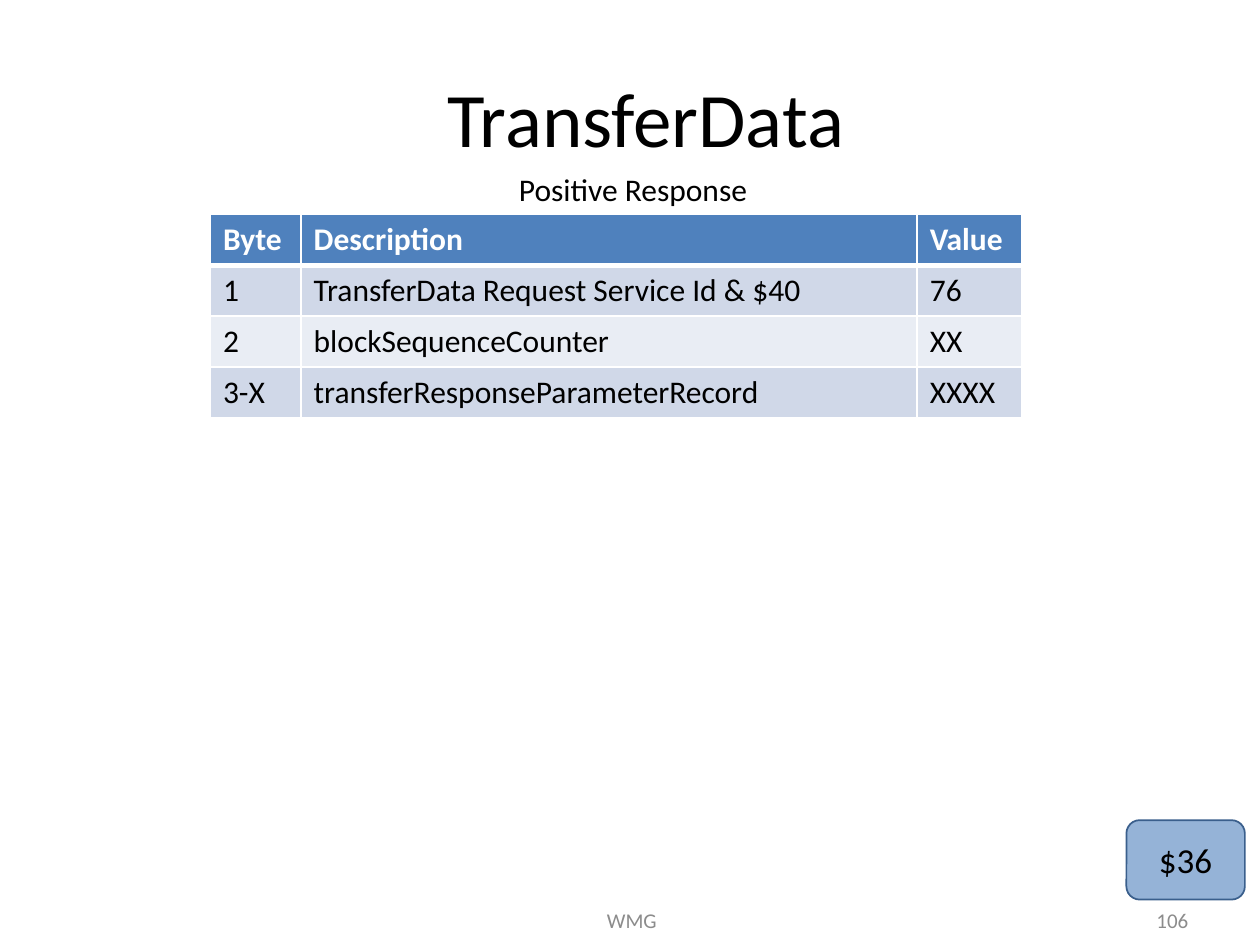
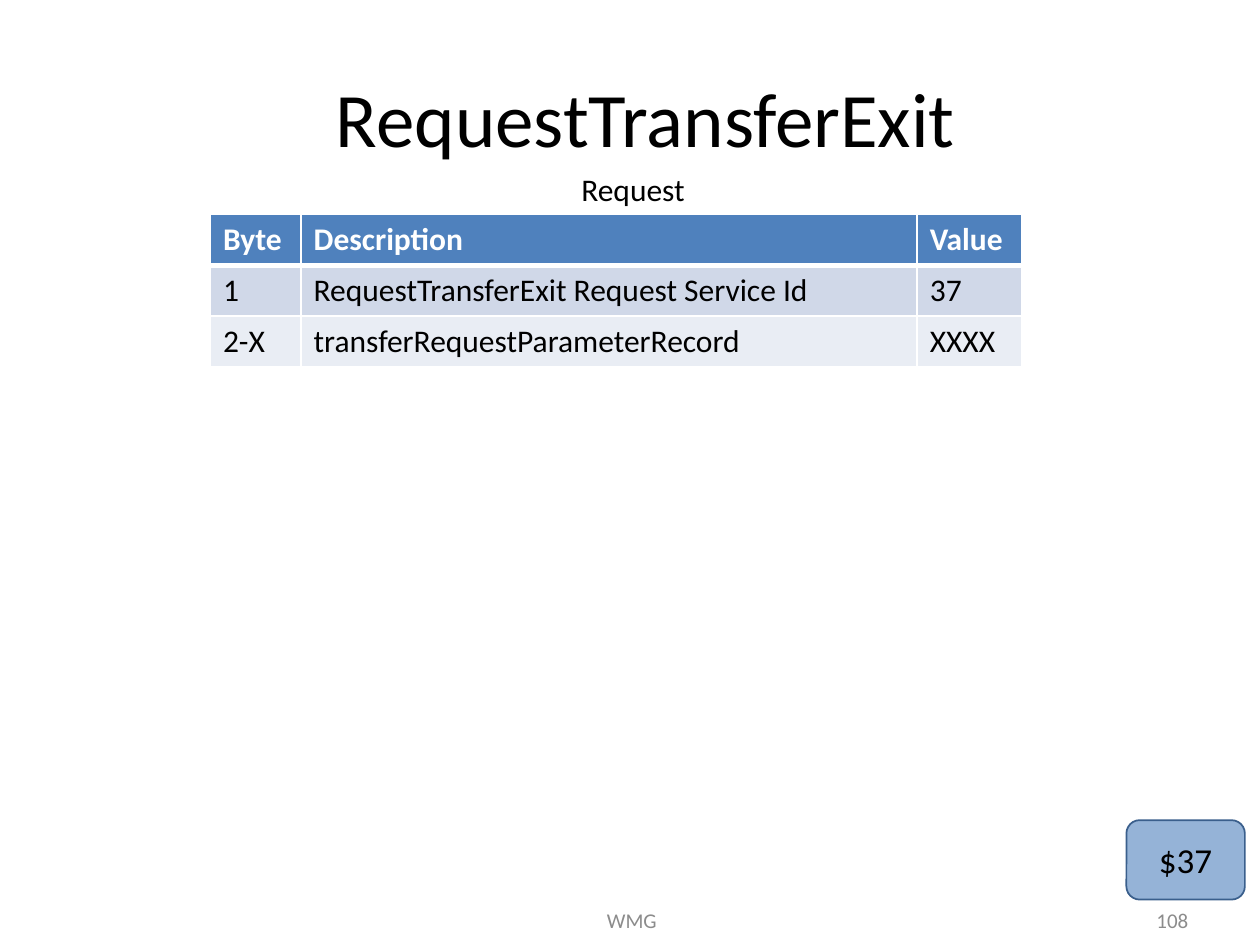
from dataclasses import dataclass

import pptx
import pptx.dml.color
import pptx.enum.shapes
import pptx.enum.text
import pptx.oxml
import pptx.oxml.ns
import pptx.util
from pptx.util import Inches

FONT = "Calibri"
BLACK, WHITE, FOOTER_GRAY = "000000", "FFFFFF", "8C8C8C"
HEADER_BLUE, BADGE_BLUE, BADGE_EDGE = "4F81BD", "95B3D7", "3A5F8C"
BANDS = ("D0D8E8", "E9EDF4")
HEADINGS = ("Byte", "Description", "Value")
COLUMN_WIDTHS = (0.72, 4.89, 0.83)
ROW_HEIGHT = 0.405
CAPTION_CENTER = 5.025
ALIGN = pptx.enum.text.PP_ALIGN
ANCHOR = pptx.enum.text.MSO_ANCHOR


@dataclass(frozen=True)
class Area:
    left: float
    top: float
    width: float
    height: float

    def lengths(self) -> tuple:
        return tuple(Inches(n) for n in (self.left, self.top, self.width, self.height))


@dataclass(frozen=True)
class Message:
    title: str
    caption: str
    caption_width: float
    rows: tuple
    service: str
    number: str


TITLE_AREA = Area(0.75, 0.3, 8.75, 1.25)
FOOTER_AREA = Area(3.43, 7.1, 3.17, 0.4)
NUMBER_AREA = Area(7.2, 7.1, 2.33, 0.4)
BADGE_AREA = Area(8.94, 6.51, 0.94, 0.63)

MESSAGES = (
    Message("TransferData", "Positive Response", 2.03, (
        ("1", "TransferData Request Service Id & $40", "76"),
        ("2", "blockSequenceCounter", "XX"),
        ("3-X", "transferResponseParameterRecord", "XXXX"),
    ), "$36", "106"),
    Message("RequestTransferExit", "Request", 1.03, (
        ("1", "RequestTransferExit Request Service Id", "37"),
        ("2-X", "transferRequestParameterRecord", "XXXX"),
    ), "$37", "108"),
)


def rgb(color: str) -> pptx.dml.color.RGBColor:
    return pptx.dml.color.RGBColor.from_string(color)


def paint(target, color: str) -> None:
    target.fill.solid()
    target.fill.fore_color.rgb = rgb(color)


def write(frame, text: str, size: int, color: str = BLACK,
          align=ALIGN.CENTER, bold: bool = False) -> None:
    frame.text = text
    para = frame.paragraphs[0]
    para.alignment = align
    for span in para.runs:
        span.font.name = FONT
        span.font.size = pptx.util.Pt(size)
        span.font.bold = bold
        span.font.color.rgb = rgb(color)


def add_text(page, area: Area, text: str, size: int, color: str = BLACK,
             align=ALIGN.CENTER, anchor=ANCHOR.MIDDLE, wrap: bool = True) -> None:
    frame = page.shapes.add_textbox(*area.lengths()).text_frame
    frame.word_wrap = wrap
    frame.vertical_anchor = anchor
    write(frame, text, size, color, align)


def add_title(page, text: str) -> None:
    title = page.shapes.title
    title.left, title.top, title.width, title.height = TITLE_AREA.lengths()
    title.text_frame.vertical_anchor = ANCHOR.MIDDLE
    write(title.text_frame, text, 44)


def set_borders(cell, top: int, bottom: int) -> None:
    properties = cell._tc.get_or_add_tcPr()
    for side, points in (("L", 1), ("R", 1), ("T", top), ("B", bottom)):
        properties.append(pptx.oxml.parse_xml(
            f'<a:ln{side} {pptx.oxml.ns.nsdecls("a")} w="{pptx.util.Pt(points)}">'
            f'<a:solidFill><a:srgbClr val="{WHITE}"/></a:solidFill></a:ln{side}>'))


def add_byte_table(page, rows: tuple) -> None:
    lines = (HEADINGS, *rows)
    area = Area(1.67, 1.7, sum(COLUMN_WIDTHS), ROW_HEIGHT * len(lines))
    table = page.shapes.add_table(len(lines), len(HEADINGS), *area.lengths()).table
    for column, width in zip(table.columns, COLUMN_WIDTHS):
        column.width = Inches(width)
    for index, line in enumerate(lines):
        header = index == 0
        table.rows[index].height = Inches(ROW_HEIGHT)
        for cell, text in zip(table.rows[index].cells, line):
            set_borders(cell, top=3 if index == 1 else 1, bottom=3 if header else 1)
            paint(cell, HEADER_BLUE if header else BANDS[(index - 1) % 2])
            write(cell.text_frame, text, 18, WHITE if header else BLACK, ALIGN.LEFT, header)


def add_badge(page, text: str) -> None:
    badge = page.shapes.add_shape(
        pptx.enum.shapes.MSO_SHAPE.ROUNDED_RECTANGLE, *BADGE_AREA.lengths())
    badge.shadow.inherit = False
    paint(badge, BADGE_BLUE)
    badge.line.color.rgb = rgb(BADGE_EDGE)
    badge.line.width = pptx.util.Pt(1)
    badge.text_frame.vertical_anchor = ANCHOR.MIDDLE
    write(badge.text_frame, text, 20)


def add_page(deck, message: Message) -> None:
    page = deck.slides.add_slide(deck.slide_layouts.get_by_name("Title Only"))
    add_title(page, message.title)
    add_text(page, FOOTER_AREA, "WMG", 12, FOOTER_GRAY)
    add_text(page, NUMBER_AREA, message.number, 12, FOOTER_GRAY, ALIGN.RIGHT)
    add_byte_table(page, message.rows)
    add_badge(page, message.service)
    width = message.caption_width
    caption_area = Area(CAPTION_CENTER - width / 2, 1.3, width, 0.4)
    add_text(page, caption_area, message.caption, 18, anchor=ANCHOR.TOP, wrap=False)


def main() -> None:
    deck = pptx.Presentation()
    deck.slide_width, deck.slide_height = Inches(10), Inches(7.5)
    for message in MESSAGES:
        add_page(deck, message)
    deck.save("out.pptx")


if __name__ == "__main__":
    main()
